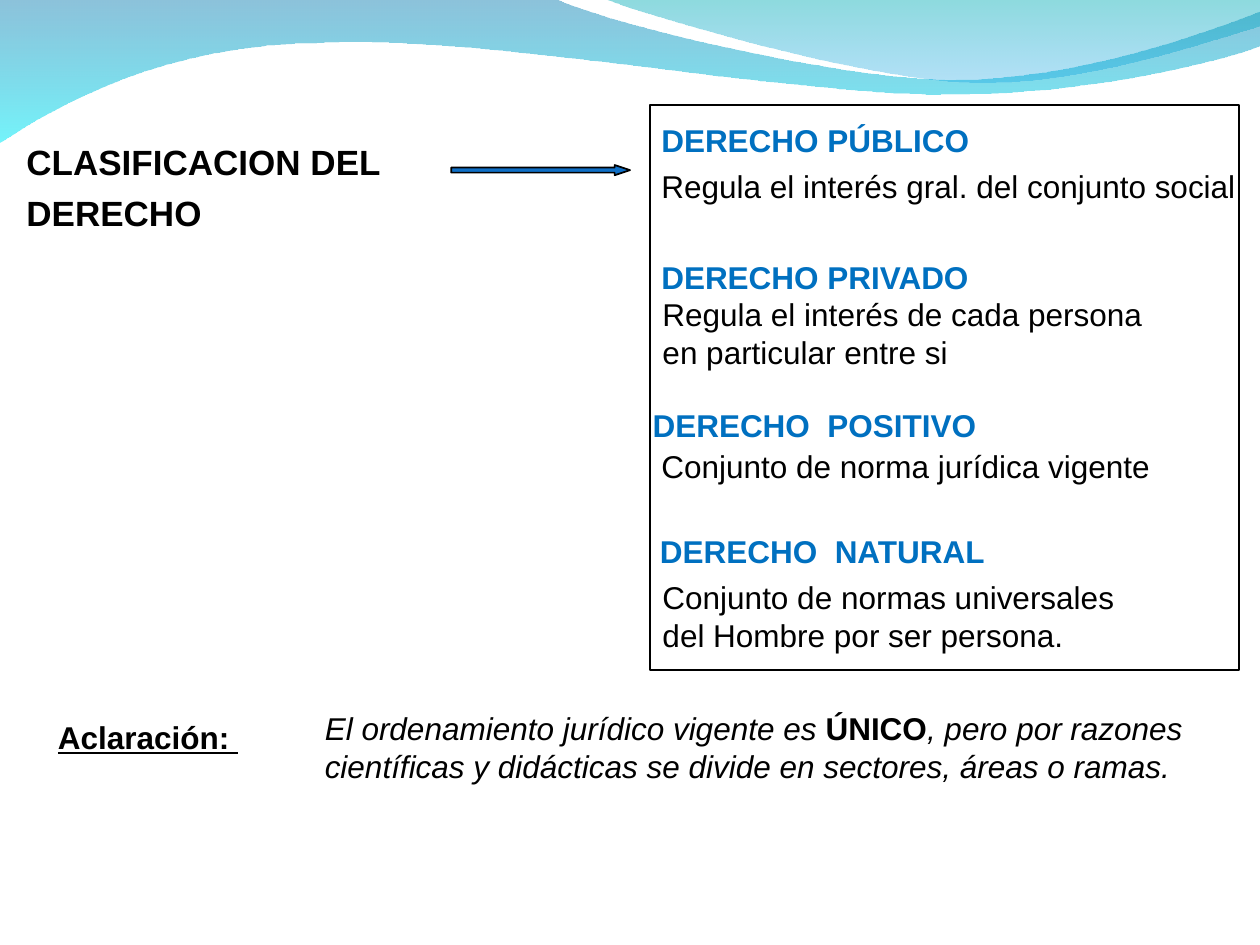
from lxml import etree
from pptx import Presentation
from pptx.dml.color import RGBColor
from pptx.enum.shapes import MSO_SHAPE
from pptx.enum.text import MSO_ANCHOR
from pptx.oxml.ns import qn
from pptx.util import Pt

RECTANGLE = MSO_SHAPE.RECTANGLE
RIGHT_ARROW = MSO_SHAPE.RIGHT_ARROW
TOP, BOTTOM = MSO_ANCHOR.TOP, MSO_ANCHOR.BOTTOM
BLACK, HEADING_BLUE, ARROW_BLUE = "000000", "0070C0", "0F6FC6"


def color(hex_code):
    return RGBColor.from_string(hex_code)


def add_run(paragraph, text, size=18, ink=BLACK, bold=False, italic=False, underline=False):
    run = paragraph.add_run()
    run.text = text
    font = run.font
    font.name, font.size = "Arial", Pt(size)
    font.bold, font.italic, font.underline = bold, italic, underline
    font.color.rgb = color(ink)


def bend(outline, segments):
    """Turn each run of three lines that stands for a curve into one cubic curve."""
    lines = iter(outline.findall(qn("a:lnTo")))
    for segment in segments:
        parts = [next(lines) for point in segment]
        if len(parts) == 3:
            curve = etree.Element(qn("a:cubicBezTo"))
            parts[0].addprevious(curve)
            for part in parts:
                curve.append(part[0])
                outline.remove(part)


class SlideBuilder:
    line_width = 1

    def __init__(self, slide):
        self.shapes = slide.shapes

    def text(self, left, top, width, height, paragraphs, gaps=(0,), anchor=TOP,
             margin=0, hanging=0, **style):
        """Each paragraph is a list of (text, own format) pairs; gaps go before paragraphs."""
        frame = self.shapes.add_textbox(Pt(left), Pt(top), Pt(width), Pt(height)).text_frame
        frame.word_wrap = True
        frame.vertical_anchor = anchor
        for index, (runs, gap) in enumerate(zip(paragraphs, gaps)):
            paragraph = frame.add_paragraph() if index else frame.paragraphs[0]
            paragraph.space_before = Pt(gap)
            properties = paragraph._p.get_or_add_pPr()
            properties.set("marL", str(Pt(margin)))
            properties.set("indent", str(Pt(-hanging)))
            for words, own in runs:
                add_run(paragraph, words, **{**style, **own})

    def shape(self, kind, left, top, width, height, fill=None, adjustments=()):
        shape = self.shapes.add_shape(kind, Pt(left), Pt(top), Pt(width), Pt(height))
        shape.shadow.inherit = False
        for index, value in enumerate(adjustments):
            shape.adjustments[index] = value
        if fill:
            shape.fill.solid()
            shape.fill.fore_color.rgb = color(fill)
        else:
            shape.fill.background()
        shape.line.color.rgb = color(BLACK)
        shape.line.width = Pt(self.line_width)

    def wave(self, start, segments, stops):
        """Segments hold one point for a line, three for a curve; stops are (colour, opacity %)."""
        outline = self.shapes.build_freeform(Pt(start[0]), Pt(start[1]), scale=1.0)
        outline.add_line_segments([(Pt(x), Pt(y)) for part in segments for x, y in part])
        shape = outline.convert_to_shape()
        bend(next(shape.element.spPr.iter(qn("a:path"))), segments)
        shape.shadow.inherit = False
        shape.line.fill.background()
        shape.fill.gradient()
        shape.fill.gradient_angle = 270
        for stop, (hex_code, opacity) in zip(shape.fill.gradient_stops, stops):
            stop.color.rgb = color(hex_code)
        for rgb, (hex_code, opacity) in zip(shape.element.spPr.iter(qn("a:srgbClr")), stops):
            etree.SubElement(rgb, qn("a:alpha")).set("val", str(opacity * 1000))


def main():
    deck = Presentation()
    deck.slide_width, deck.slide_height = Pt(720), Pt(540)
    builder = SlideBuilder(deck.slides.add_slide(deck.slide_layouts[6]))
    heading = {"ink": HEADING_BLUE, "bold": True}

    builder.wave((-0.5, -0.7), [
        [(317, -0.7)],
        [(342.7, 12.2), (478, 45.4), (545.8, 45.4)],
        [(614.2, 45.4), (689.8, 18.7), (720, 6.5)],
        [(720.7, 26)],
        [(707.8, 31.7), (626.4, 54.7), (537.1, 54)],
        [(447.8, 54), (275, 20.2), (185, 24.5)],
        [(92.9, 25.2), (33.1, 59.8), (-0.5, 81.4)],
        [(-0.5, -0.7)],
    ], [("0079AF", 45), ("00EBF8", 55)])
    builder.wave((345, -0.7), [
        [(366.5, 7.9), (491, 44.6), (553.7, 46.8)],
        [(616.3, 49.7), (691.9, 23), (720, 15.1)],
        [(720, 0)],
        [(345, -0.7)],
    ], [("00ADB6", 45), ("009BE5", 30)])

    builder.text(0, 77, 360, 288.7, [[("CLASIFICACION DEL", {})], [("DERECHO", {})]],
                 gaps=(0, 5), margin=23, hanging=15, size=20, bold=True)
    # The third gap leaves room for the line between the two branches.
    builder.text(365.8, 65.5, 354.2, 334, [
        [("DERECHO PÚBLICO", heading)],
        [("Regula el interés gral. del conjunto social", {})],
        [("DERECHO PRIVADO", heading)],
    ], gaps=(0, 4.5, 30.5), margin=5)
    builder.text(26, 406.8, 244, 28.8, [[("Aclaración: ", {})]], bold=True, underline=True)
    builder.text(178.5, 401.8, 541.5, 110.9, [[
        ("El ordenamiento jurídico vigente es ", {}),
        ("ÚNICO", {"bold": True, "italic": False}),
        (", pero por razones científicas y didácticas se divide en sectores, áreas o ramas.", {}),
    ]], italic=True)

    builder.shape(RECTANGLE, 371.5, 60, 336.5, 323)
    builder.shape(RIGHT_ARROW, 257.8, 94.3, 102.2, 5.8, ARROW_BLUE, (0.5, 1.51))

    builder.text(365.8, 206.6, 287.3, 50.4, [[("DERECHO  POSITIVO", heading)]], anchor=BOTTOM)
    builder.text(360, 257, 251.3, 72, [[("DERECHO  NATURAL", heading)]],
                 anchor=BOTTOM, margin=10)
    builder.text(371.5, 164.9, 348.5, 50.4, [
        [("Regula el interés de cada persona", {})],
        [("en particular entre si", {})],
    ], gaps=(0, 0))
    builder.text(365.8, 230.4, 313.2, 50.4, [[("Conjunto de norma jurídica vigente", {})]],
                 anchor=BOTTOM, margin=5)
    builder.text(371.5, 326.9, 300.2, 50.4, [
        [("Conjunto de normas universales del Hombre por ser persona.", {})],
    ])

    deck.save("out.pptx")


if __name__ == "__main__":
    main()
